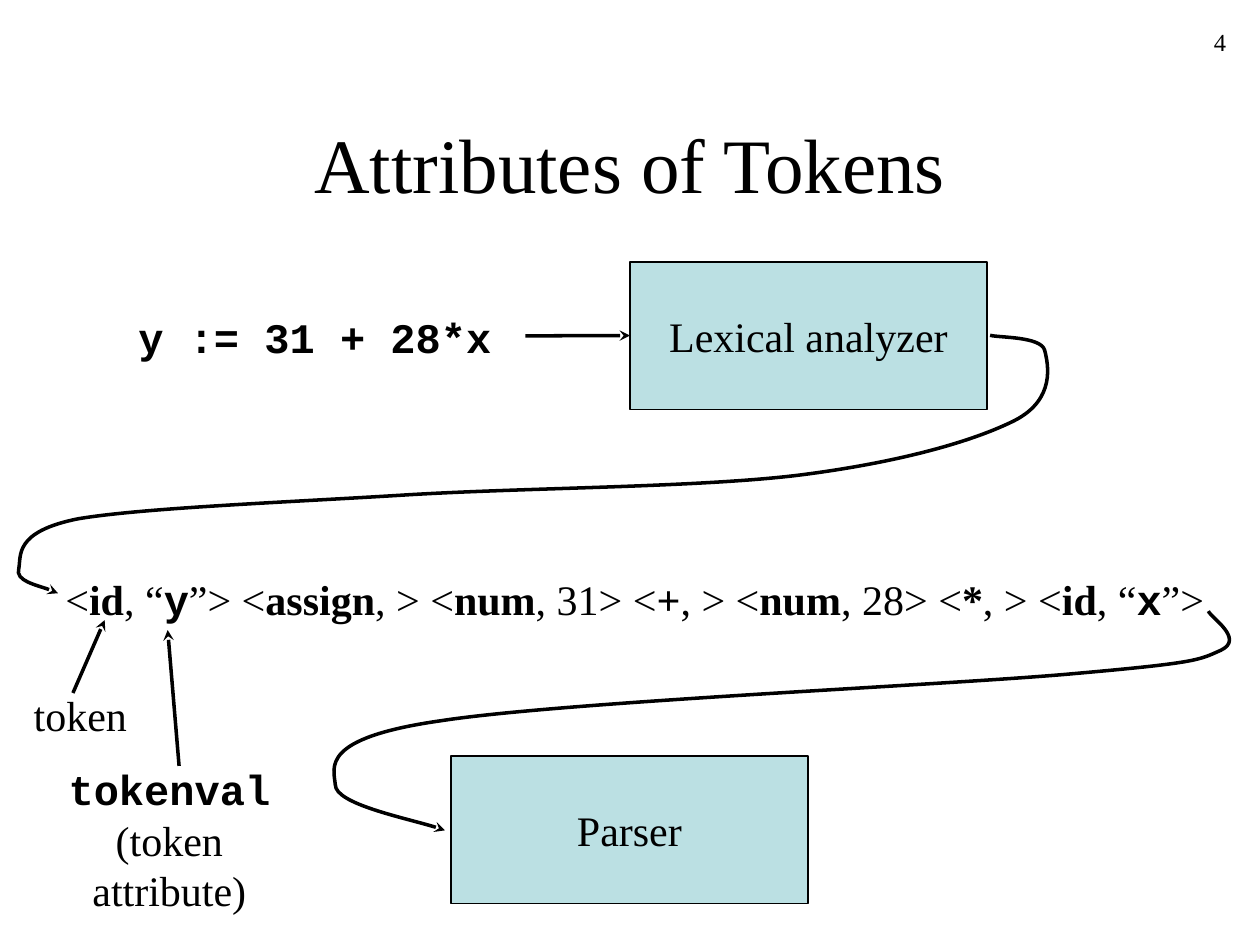
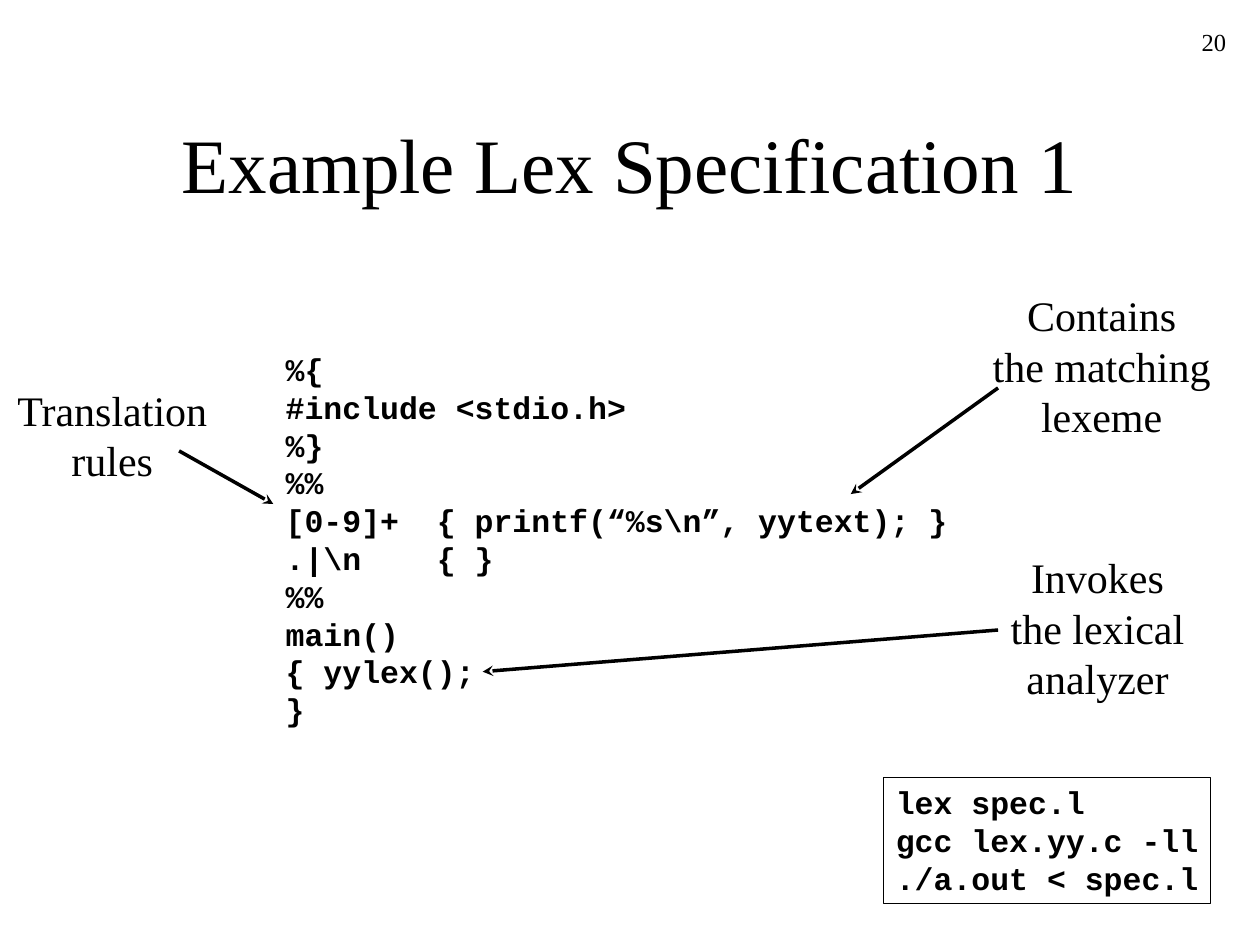
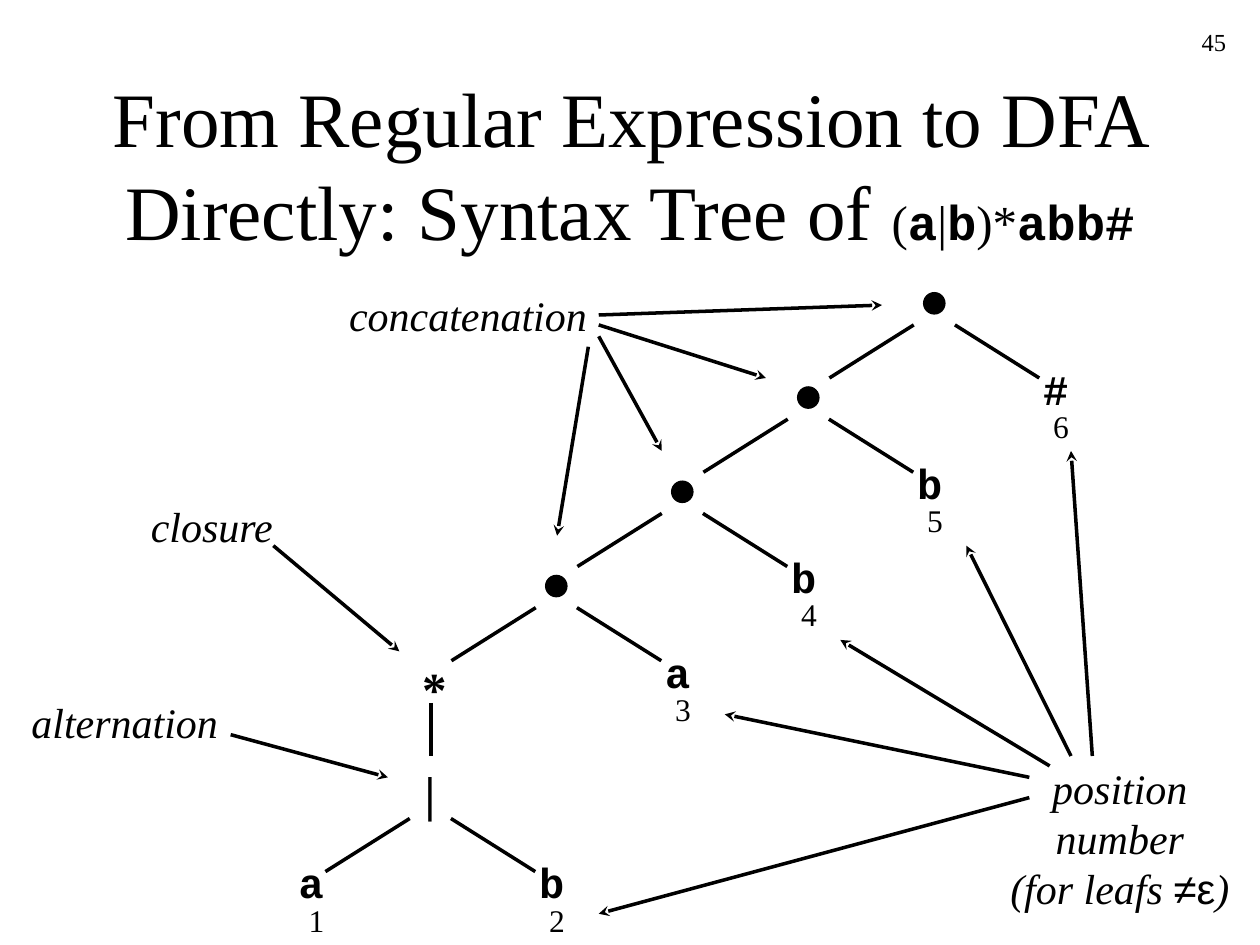
import dataclasses
import lxml.etree
import pptx
import pptx.dml.color
import pptx.enum.shapes
import pptx.enum.text
import pptx.oxml.ns
import pptx.util

Cm = pptx.util.Cm
Pt = pptx.util.Pt
qn = pptx.oxml.ns.qn
ALIGN = pptx.enum.text.PP_ALIGN
ANCHOR = pptx.enum.text.MSO_ANCHOR
SHAPE = pptx.enum.shapes.MSO_SHAPE


@dataclasses.dataclass(frozen=True)
class Theme:
    ink = pptx.dml.color.RGBColor.from_string("000000")
    stage = pptx.dml.color.RGBColor.from_string("BBE0E3")
    serif = "Times New Roman"
    mono = "Courier New"
    sans = "Arial"
    title = Pt(44)
    expression = Pt(28)
    body = Pt(24)
    small = Pt(18)
    number = Pt(14)
    outline = Pt(0.75)
    stroke = Pt(2)


theme = Theme()
BODY = {"name": theme.serif, "size": theme.body, "bold": False, "italic": False}
BOLD = {"bold": True}
MONO = {"name": theme.mono, "bold": True}
CODE = {**MONO, "size": theme.small}
ITALIC = {"italic": True}
SMALL = {"size": theme.small}
EXPRESSION = {"size": theme.expression}


def write(slide, area, lines, style={}, align=ALIGN.LEFT, anchor=ANCHOR.TOP,
          wrap=False, framed=False, fill=None):
    place = [Cm(length) for length in area]
    if framed:
        holder = slide.shapes.add_shape(SHAPE.RECTANGLE, *place)
        holder.shadow.inherit = False
        holder.line.color.rgb = theme.ink
        holder.line.width = theme.outline
        if fill is None:
            holder.fill.background()
        else:
            holder.fill.solid()
            holder.fill.fore_color.rgb = fill
    else:
        holder = slide.shapes.add_textbox(*place)
    frame = holder.text_frame
    frame.word_wrap = wrap
    frame.vertical_anchor = anchor
    for index, line in enumerate(lines):
        paragraph = frame.paragraphs[0] if index == 0 else frame.add_paragraph()
        paragraph.alignment = align
        for text, change in [(line, {})] if isinstance(line, str) else line:
            run = paragraph.add_run()
            run.text = text
            run.font.color.rgb = theme.ink
            for attribute, value in {**BODY, **style, **change}.items():
                setattr(run.font, attribute, value)
    return holder


def link(slide, points, arrow=True):
    places = [(Cm(x), Cm(y)) for x, y in points]
    if len(places) == 2:
        stroke = slide.shapes.add_connector(
            pptx.enum.shapes.MSO_CONNECTOR.STRAIGHT, *places[0], *places[1])
    else:
        builder = slide.shapes.build_freeform(*places[0], scale=1.0)
        builder.add_line_segments(places[1:], close=False)
        stroke = builder.convert_to_shape()
        stroke.fill.background()
        segments = list(stroke.element.iter(qn("a:lnTo")))
        for start in range(0, len(segments), 3):
            curve = lxml.etree.SubElement(segments[start].getparent(), qn("a:cubicBezTo"))
            for segment in segments[start:start + 3]:
                curve.append(segment[0])
                segment.getparent().remove(segment)
    stroke.line.color.rgb = theme.ink
    stroke.line.width = theme.stroke
    if arrow:
        lxml.etree.SubElement(stroke.line._get_or_add_ln(), qn("a:tailEnd"), type="stealth")
    lxml.etree.SubElement(stroke.element.spPr, qn("a:effectLst"))
    return stroke


deck = pptx.Presentation()
deck.slide_width = Cm(25.4)
deck.slide_height = Cm(19.05)

headings = [
    ("4", ["Attributes of Tokens"]),
    ("20", ["Example Lex Specification 1"]),
    ("45", [[
        ("From Regular Expression to DFA Directly: Syntax Tree of ", {}),
        ("(", EXPRESSION), ("a", {**EXPRESSION, **MONO}),
        ("|", EXPRESSION), ("b", {**EXPRESSION, **MONO}),
        (")*", EXPRESSION), ("abb#", {**EXPRESSION, **MONO}),
    ]]),
]
slides = []
for number, heading in headings:
    slide = deck.slides.add_slide(deck.slide_layouts[6])
    write(slide, (1.9, 1.7, 21.6, 3.18), heading, {"size": theme.title},
          ALIGN.CENTER, ANCHOR.MIDDLE, wrap=True)
    write(slide, (19.69, 0.43, 5.28, 1.27), [number], {"size": theme.number},
          ALIGN.RIGHT, wrap=True)
    slides.append(slide)
tokens, lex, tree = slides

analyzer, parser = [
    write(tokens, (left, top, 7.2, 2.97), [stage], align=ALIGN.CENTER,
          anchor=ANCHOR.MIDDLE, framed=True, fill=theme.stage)
    for left, top, stage in [(12.7, 5.28, "Lexical analyzer"), (9.09, 15.24, "Parser")]
]
write(tokens, (1.07, 11.43, 23.47, 1.27), [[
    ("<", {}), ("id", BOLD), (", “", {}), ("y", MONO), ("”> <", {}),
    ("assign", BOLD), (", > <", {}), ("num", BOLD), (", 31> <", {}),
    ("+", BOLD), (", > <", {}), ("num", BOLD), (", 28> <", {}),
    ("*", BOLD), (", > <", {}), ("id", BOLD), (", “", {}), ("x", MONO), ("”>", {}),
]])
write(tokens, (2.54, 6.15, 7.62, 1.27), ["y := 31 + 28*x"], MONO)
write(tokens, (0.43, 13.77, 2.39, 1.27), ["token"])
write(tokens, (0.43, 15.27, 5.97, 2.29), [[("tokenval", MONO)], "(token attribute)"],
      align=ALIGN.CENTER)

source_arrow = link(tokens, [(10.59, 6.77), (12.7, 6.77)])
source_arrow.end_connect(analyzer, 1)
token_arrows = [
    [(1.47, 13.97), (2.11, 12.5)],
    [(3.61, 15.44), (3.38, 12.7)],
    [(19.96, 6.76),
     (20.14, 6.81), (20.98, 6.78), (21.06, 7.06),
     (21.13, 7.34), (21.29, 8.05), (20.45, 8.48),
     (19.63, 8.89), (18.16, 9.32), (16.1, 9.58),
     (14.05, 9.83), (10.57, 9.83), (8.15, 9.98),
     (5.72, 10.13), (2.87, 10.24), (1.57, 10.46),
     (0.28, 10.72), (0.43, 11.2), (0.38, 11.46),
     (0.3, 11.71), (0.99, 11.86), (1.17, 11.96)],
    [(24.36, 12.32),
     (24.41, 12.45), (25.1, 12.88), (24.61, 13.11),
     (24.16, 13.31), (24.16, 13.36), (21.54, 13.59),
     (18.92, 13.82), (11.35, 14.15), (8.89, 14.53),
     (6.43, 14.88), (6.73, 15.47), (6.76, 15.82),
     (6.76, 16.21), (8.51, 16.56), (8.97, 16.74)],
]
for points in token_arrows:
    link(tokens, points)

write(lex, (5.51, 6.93, 13.84, 7.87), [
    "%{",
    "#include <stdio.h>",
    "%}",
    "%%",
    "[0-9]+  { printf(“%s\\n”, yytext); }",
    ".|\\n    { }",
    "%%",
    "main()",
    "{ yylex();",
    "}",
], CODE)
write(lex, (17.81, 15.67, 6.6, 2.54),
      ["lex spec.l", "gcc lex.yy.c -ll", "./a.out < spec.l"], CODE, framed=True)
lex_remarks = [
    ((19.76, 5.72, 4.9, 3.3), ["Contains", "the matching", "lexeme"],
     [(20.12, 7.82), (17.15, 9.96)]),
    ((20.12, 11, 4.01, 3.3), ["Invokes", "the lexical", "analyzer"],
     [(20.12, 12.7), (9.73, 13.54)]),
    ((0.08, 7.62, 4.37, 2.29), ["Translation", "rules"],
     [(3.61, 9.09), (5.51, 10.16)]),
]
for area, remark, points in lex_remarks:
    write(lex, area, remark, align=ALIGN.CENTER)
    link(lex, points)

concatenations = [(18.62 - 2.54 * level, 5.9 + 1.9 * level) for level in range(4)]
alternation = (8.46, 15.85)
for x, y in concatenations:
    dot = tree.shapes.add_shape(SHAPE.OVAL, Cm(x), Cm(y), Cm(0.43), Cm(0.43))
    dot.shadow.inherit = False
    dot.fill.solid()
    dot.fill.fore_color.rgb = theme.ink
    dot.line.color.rgb = theme.ink
    dot.line.width = theme.outline
for x, y in concatenations + [alternation]:
    link(tree, [(x - 0.2, y + 0.65), (x - 1.9, y + 1.72)], arrow=False)
    link(tree, [(x + 0.63, y + 0.65), (x + 2.33, y + 1.72)], arrow=False)
link(tree, [(8.69, 14.17), (8.69, 15.24)], arrow=False)

leaves = [
    ("#", "6", concatenations[0], 2.16),
    ("b", "5", concatenations[1], 2.16),
    ("b", "4", concatenations[2], 2.16),
    ("a", "3", concatenations[3], 2.16),
    ("b", "2", alternation, 2.16),
    ("a", "1", alternation, -2.69),
]
for symbol, position, (x, y), shift in leaves:
    write(tree, (x + shift, y + 1.3, 1.02, 1.27), [symbol], MONO)
    write(tree, (x + shift + 0.2, y + 2.18, 0.81, 1.02), [position], SMALL)
for operator, left, top in [("*", 8.26, 13.16), ("|", 8.31, 15.24)]:
    write(tree, (left, top, 1.02, 1.45), [operator], {**EXPRESSION, **BOLD})

tree_remarks = [
    ((6.78, 5.72, 5.31, 1.27), ["concatenation"], [
        [(12.07, 6.35), (17.78, 6.15)],
        [(12.07, 6.55), (15.44, 7.62)],
        [(12.07, 6.78), (13.34, 9.09)],
        [(11.86, 6.99), (11.23, 10.8)],
    ]),
    ((2.77, 9.96, 3, 1.27), ["closure"], [[(5.51, 11), (8.05, 13.13)]]),
    ((0.38, 13.92, 4.27, 1.27), ["alternation"], [[(4.65, 14.81), (7.82, 15.67)]]),
    ((20.02, 15.24, 5.11, 3.3), [
        "position",
        "number",
        [("(for leafs ", {}), ("≠ε", {"name": theme.sans, "italic": False}), (")", {})],
    ], [
        [(22.02, 15.24), (21.59, 9.09)],
        [(21.59, 15.24), (19.48, 11)],
        [(21.16, 15.44), (16.94, 12.9)],
        [(20.75, 15.67), (14.61, 14.4)],
        [(20.75, 16.08), (12.07, 18.42)],
    ]),
]
for area, remark, arrows in tree_remarks:
    write(tree, area, remark, ITALIC, ALIGN.CENTER)
    for points in arrows:
        link(tree, points)

deck.save("out.pptx")
